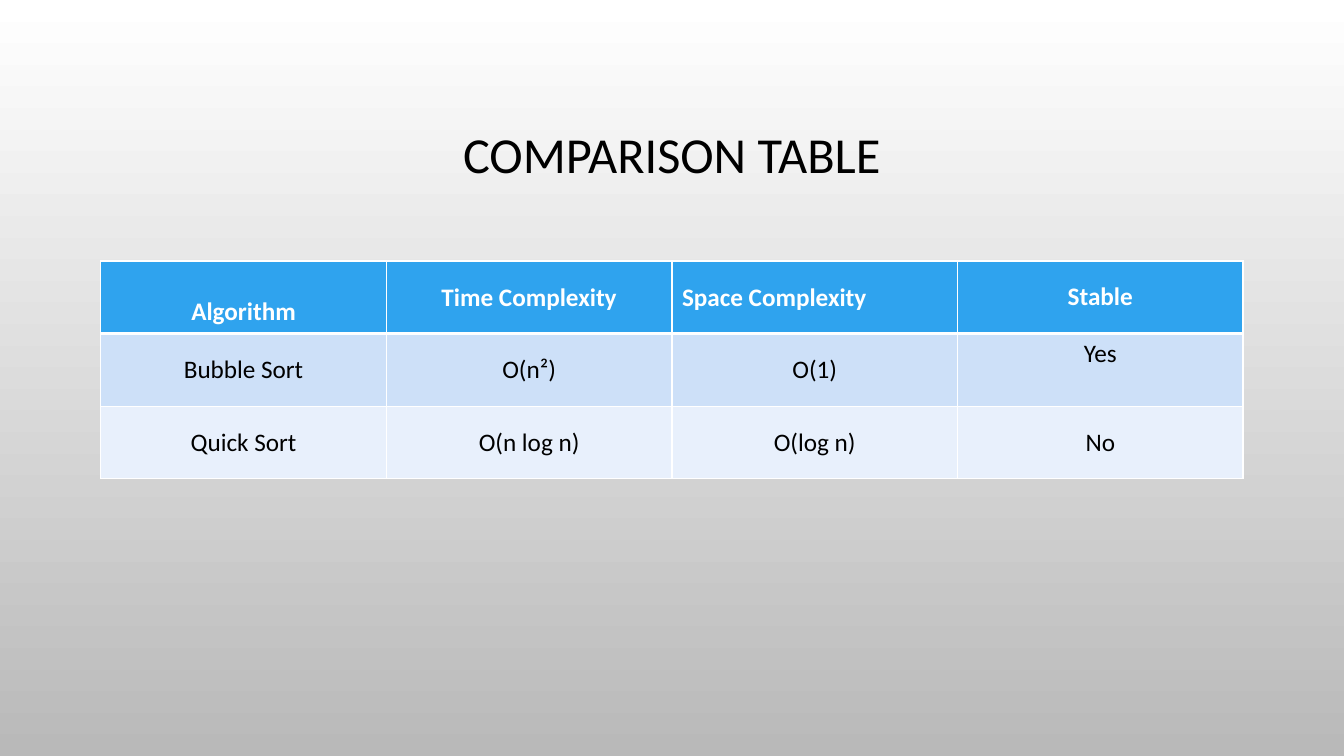
from lxml.etree import SubElement
from pptx import Presentation
from pptx.dml.color import RGBColor
from pptx.enum.text import MSO_ANCHOR, PP_ALIGN
from pptx.oxml.ns import qn
from pptx.util import Pt

FONT = "Calibri"
BLACK, WHITE = "000000", "FFFFFF"
ROW_FILLS = ["2FA3EE", "CDE0F8", "E8F0FC"]
ROWS = [
    ["Algorithm", "Time Complexity", "Space Complexity", "Stable"],
    ["Bubble Sort", "O(n²)", "O(1)", "Yes"],
    ["Quick Sort", "O(n log n)", "O(log n)", "No"],
]
LEFT, WIDTH = 72, 816
TABLE_TOP, ROW_HEIGHT = 186.5, 51.84
TOP_ANCHORED = {"Algorithm", "Stable", "Yes"}
LEFT_ALIGNED = {"Space Complexity"}
LINE_SPACING = {"Algorithm": 2.0, "Stable": 1.5}


def color(value):
    """Return the colour for a hex string."""
    return RGBColor.from_string(value)


def set_background(slide, top, bottom):
    """Fill the slide with a gradient that runs downwards."""
    fill = slide.background.fill
    fill.gradient()
    fill.gradient_angle = 270
    for stop, value in zip(fill.gradient_stops, (top, bottom)):
        stop.color.rgb = color(value)


def write_text(text_frame, text, size, value, bold=False,
               alignment=PP_ALIGN.CENTER, spacing=1.0):
    """Write one formatted paragraph."""
    text_frame.text = text
    paragraph = text_frame.paragraphs[0]
    paragraph.alignment = alignment
    paragraph.line_spacing = spacing
    font = paragraph.runs[0].font
    font.name, font.size, font.bold = FONT, Pt(size), bold
    font.color.rgb = color(value)


def add_title(slide, text):
    """Add the centred slide title."""
    shape = slide.shapes.add_textbox(Pt(LEFT), Pt(49), Pt(WIDTH), Pt(126))
    text_frame = shape.text_frame
    text_frame.word_wrap = True
    text_frame.vertical_anchor = MSO_ANCHOR.MIDDLE
    write_text(text_frame, text, 36, BLACK, spacing=0.9)


def set_borders(cell, value, bottom_width):
    """Draw the four cell borders, the bottom one in its own width."""
    properties = cell._tc.get_or_add_tcPr()
    widths = {"a:lnL": 1, "a:lnR": 1, "a:lnT": 1, "a:lnB": bottom_width}
    for tag, width in widths.items():
        line = SubElement(properties, qn(tag), w=str(Pt(width)))
        fill = SubElement(line, qn("a:solidFill"))
        SubElement(fill, qn("a:srgbClr"), val=value)


def format_cell(cell, text, fill, is_header):
    """Write and style one table cell."""
    set_borders(cell, WHITE, 3 if is_header else 1)
    cell.fill.solid()
    cell.fill.fore_color.rgb = color(fill)
    cell.vertical_anchor = MSO_ANCHOR.TOP if text in TOP_ANCHORED else MSO_ANCHOR.MIDDLE
    write_text(
        cell.text_frame, text, 18, WHITE if is_header else BLACK, is_header,
        PP_ALIGN.LEFT if text in LEFT_ALIGNED else PP_ALIGN.CENTER,
        LINE_SPACING.get(text, 1.0),
    )


def add_comparison_table(slide):
    """Add the table with equal rows and columns."""
    table = slide.shapes.add_table(
        len(ROWS), len(ROWS[0]), Pt(LEFT), Pt(TABLE_TOP),
        Pt(WIDTH), Pt(ROW_HEIGHT * len(ROWS)),
    ).table
    for row_index, (texts, fill) in enumerate(zip(ROWS, ROW_FILLS)):
        for column_index, text in enumerate(texts):
            cell = table.cell(row_index, column_index)
            format_cell(cell, text, fill, row_index == 0)


def main():
    """Build and save the slide."""
    presentation = Presentation()
    presentation.slide_width, presentation.slide_height = Pt(960), Pt(540)
    slide = presentation.slides.add_slide(presentation.slide_layouts[6])
    set_background(slide, WHITE, "B9B9B9")
    add_title(slide, "COMPARISON TABLE")
    add_comparison_table(slide)
    presentation.save("out.pptx")


if __name__ == "__main__":
    main()
